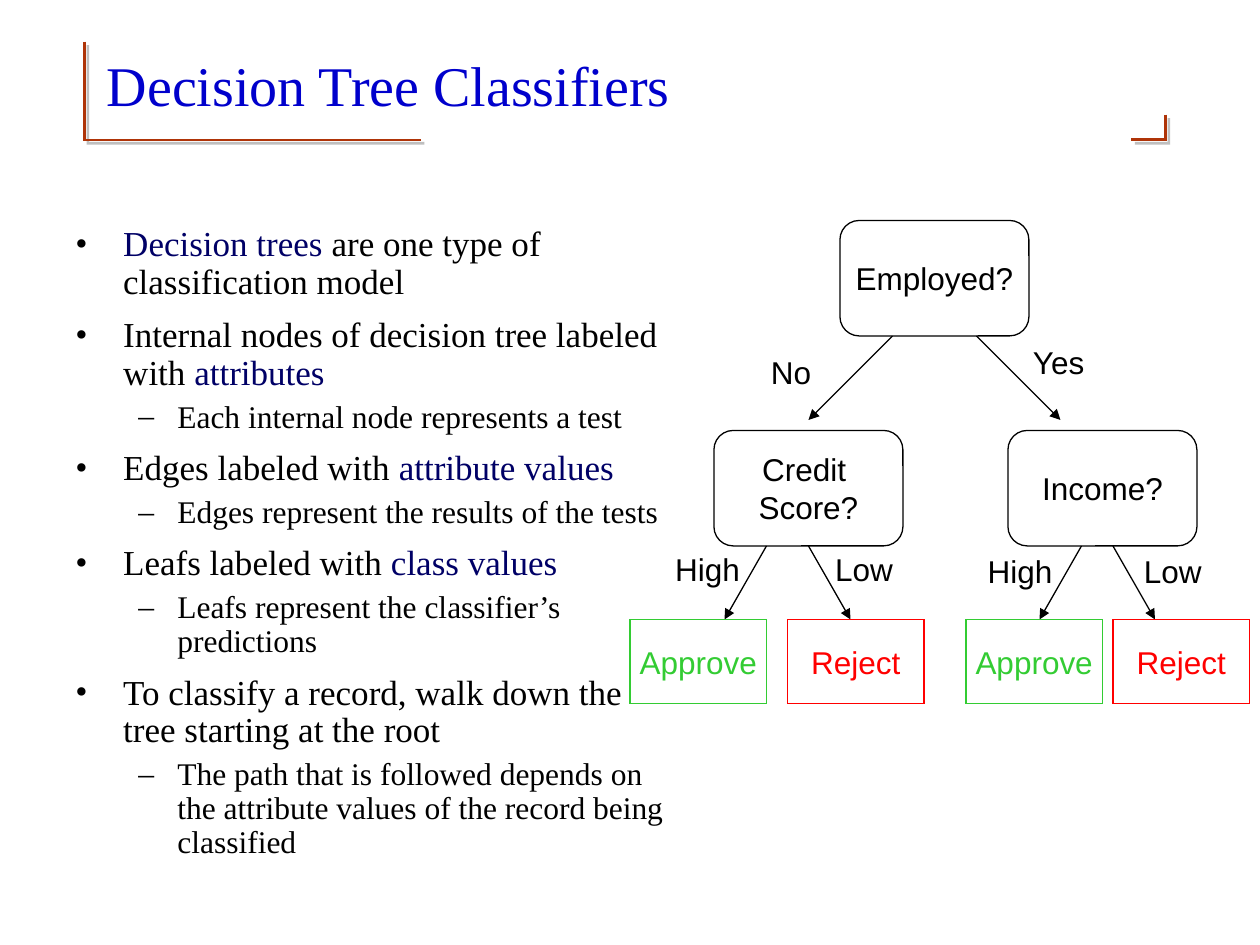
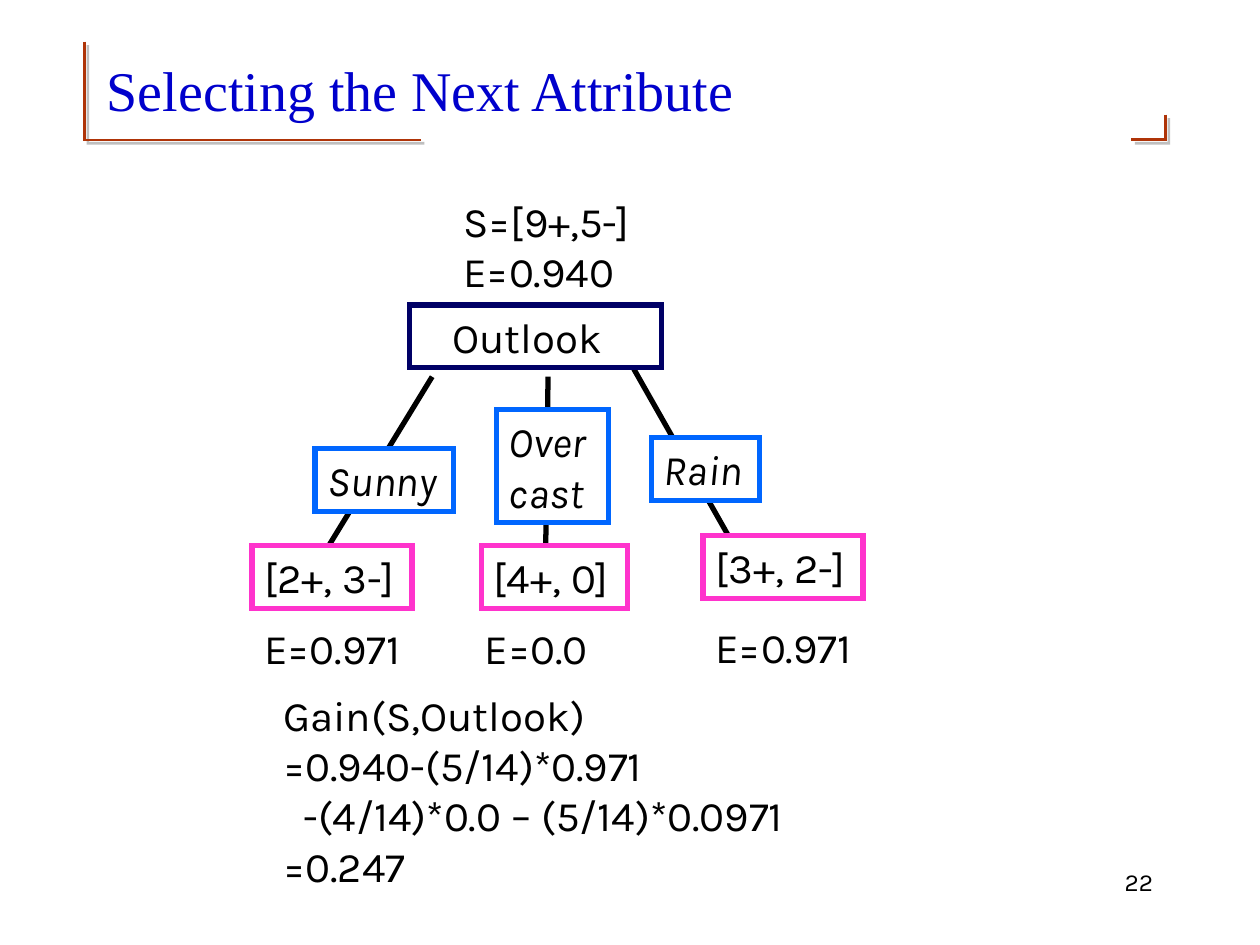
import pptx
import pptx.util
import pptx.dml.color
import pptx.enum.shapes
import pptx.enum.text
import pptx.oxml
import pptx.oxml.ns

Inches, Pt = pptx.util.Inches, pptx.util.Pt
SHAPE = pptx.enum.shapes.MSO_SHAPE
ALIGN = pptx.enum.text.PP_ALIGN
ANCHOR = pptx.enum.text.MSO_ANCHOR
AUTO = pptx.enum.text.MSO_AUTO_SIZE

# ---- Shared style ----
SLIDE_W, SLIDE_H = 10, 7.5
BLACK, WHITE, NAVY = "000000", "FFFFFF", "000066"
TITLE_BLUE, RUST = "0000CC", "AF3408"
GREEN, RED, BLUE, PINK = "33CC33", "FF0000", "0066FF", "FF33CC"
SERIF, SANS, KARLA = "Times New Roman", "Arial", "Karla"
CORNERS = [
    [(0.67, 0.33), (0.67, 1.11), (3.34, 1.11)],
    [(9.25, 0.91), (9.25, 1.11), (8.98, 1.11)],
]

# ---- Content: decision tree classifiers ----
# (level, runs); a run given as a one-item tuple is a key term
POINTS = [
    (0, [("Decision trees ",), "are one type of classification model"]),
    (0, ["Internal nodes of decision tree labeled with ", ("attributes",)]),
    (1, ["Each internal node represents a test"]),
    (0, ["Edges labeled with ", ("attribute values",)]),
    (1, ["Edges represent the results of the tests"]),
    (0, ["Leafs labeled with ", ("class values",)]),
    (1, ["Leafs represent the classifier’s predictions"]),
    (0, ["To classify a record, walk down the tree starting at the root"]),
    (1, ["The path that is followed depends on the attribute values "
         "of the record being classified"]),
]
# level: size, left indent, hanging indent, space before, bullet
LEVELS = [(20, 0.38, 0.38, 8.8, "•"), (18, 0.81, 0.31, 4.5, "–")]

# Tree in grid cells of 1/12 inch: column, row
CELL = 1 / 12
NODE, LEAF = (18, 11), (13, 8)
NODES = [("Employed?", 80, 21), ("Credit \vScore?", 68, 41), ("Income?", 96, 41)]
LEAVES = [("Approve", GREEN, 60), ("Approve", GREEN, 92),
          ("Reject", RED, 75), ("Reject", RED, 106)]
LEAF_ROW = 59
# start column, start row, columns across, rows down
BRANCHES = [(85, 32, -8, 8), (93, 32, 8, 8), (73, 52, -4, 7),
            (103, 52, -4, 7), (77, 52, 4, 7), (106, 52, 4, 7)]
# text, left, top; every label box has room for the longest word
LABEL_W, LABEL_H = 0.8, 0.4
BRANCH_LABELS = [("No", 6.02, 2.75), ("Yes", 8.1, 2.67),
                 ("High", 5.26, 4.32), ("Low", 6.53, 4.32),
                 ("High", 7.74, 4.33), ("Low", 8.98, 4.33)]

# ---- Content: selecting the next attribute ----
LINKS = [(3.43, 2.99, 2.61, 4.33), (5.02, 2.91, 5.78, 4.25),
         (4.35, 2.99, 4.33, 4.42)]
VALUES = [(["Sunny"], (2.5, 3.56, 1.1, 0.5)),
          (["Rain"], (5.17, 3.47, 0.86, 0.5)),
          (["Over", "cast"], (3.94, 3.25, 0.89, 0.9))]
COUNTS = [("[2+, 3-]", (2, 4.33, 1.27, 0.5)),
          ("[3+, 2-]", (5.58, 4.25, 1.27, 0.5)),
          ("[4+, 0]", (3.82, 4.33, 1.16, 0.5))]
# text, left, top, height, line spacing
ENTROPIES = [("E=0.971", 2, 5, 0.38, 0.7), ("E=0.971", 5.58, 4.88, 0.5, 1),
             ("E=0.0", 3.75, 5, 0.38, 0.7)]
ROOT_STATS = ["S=[9+,5-]", "E=0.940"]
GAIN = ["Gain(S,Outlook)", "=0.940-(5/14)*0.971",
        "-(4/14)*0.0 – (5/14)*0.0971", "=0.247"]
GAIN_INDENTS = [0, 0, 0.16, 0]


# ---- Helpers ----
def rgb(value):
    return pptx.dml.color.RGBColor.from_string(value)


def xml(tag, inner="", **attrs):
    listed = "".join(f' {k}="{v}"' for k, v in attrs.items())
    ns = pptx.oxml.ns.nsdecls("a")
    return pptx.oxml.parse_xml(f"<a:{tag} {ns}{listed}>{inner}</a:{tag}>")


def add_run(p, text, size=18, font=SANS, color=BLACK, italic=False):
    for i, part in enumerate(text.split("\v")):
        if i:
            p.add_line_break()
        r = p.add_run()
        r.text = part
        r.font.size, r.font.name, r.font.italic = Pt(size), font, italic
        r.font.color.rgb = rgb(color)


def write(sp, lines, align=ALIGN.LEFT, anchor=ANCHOR.TOP, wrap=False,
          grow=False, spacing=None, indents=None, **fmt):
    tf = sp.text_frame
    tf.word_wrap, tf.vertical_anchor = wrap, anchor
    tf.auto_size = AUTO.SHAPE_TO_FIT_TEXT if grow else AUTO.NONE
    for i, line in enumerate(lines):
        p = tf.add_paragraph() if i else tf.paragraphs[0]
        p.alignment = align
        if spacing:
            p.line_spacing = spacing
        if indents and indents[i]:
            p._p.get_or_add_pPr().set("marL", str(Inches(indents[i])))
        add_run(p, line, **fmt)


def text_box(s, at, lines, **fmt):
    write(s.shapes.add_textbox(*map(Inches, at)), lines, **fmt)


def outline(sp, color, width):
    sp.line.color.rgb, sp.line.width = rgb(color), Pt(width)
    sp.line._get_or_add_ln().append(xml("miter", lim=800000))


def box(s, kind, at, lines, line, width, fill=None, **fmt):
    sp = s.shapes.add_shape(kind, *map(Inches, at))
    sp.shadow.inherit = False
    if fill:
        sp.fill.solid()
        sp.fill.fore_color.rgb = rgb(fill)
    else:
        sp.fill.background()
    outline(sp, line, width)
    write(sp, lines, **fmt)


def connect(s, x1, y1, x2, y2, width, arrow=False):
    kind = pptx.enum.shapes.MSO_CONNECTOR.STRAIGHT
    cn = s.shapes.add_connector(kind, *map(Inches, (x1, y1, x2, y2)))
    outline(cn, BLACK, width)
    if arrow:
        cn.line._get_or_add_ln().append(xml("tailEnd", type="triangle"))
    cn._element.spPr.append(xml("effectLst"))


def new_slide(prs, title, title_height):
    s = prs.slides.add_slide(prs.slide_layouts[6])
    for corner in CORNERS:
        start, *rest = [tuple(map(Inches, point)) for point in corner]
        fb = s.shapes.build_freeform(*start)
        fb.add_line_segments(rest, close=False)
        sp = fb.convert_to_shape()
        sp.fill.background()
        outline(sp, RUST, 1.5)
        gray = '<a:srgbClr val="808080"><a:alpha val="50000"/></a:srgbClr>'
        shadow = xml("effectLst")
        shadow.append(xml("outerShdw", gray, dist=Pt(2.8), dir=45 * 60000))
        sp._element.spPr.append(shadow)
    text_box(s, (0.75, 0.25, 8.5, title_height), [title], size=32, font=SERIF,
             color=TITLE_BLUE, anchor=ANCHOR.MIDDLE, wrap=True)
    return s


def bullet_list(s, at, points):
    tf = s.shapes.add_textbox(*map(Inches, at)).text_frame
    tf.word_wrap = True
    for i, (level, runs) in enumerate(points):
        size, left, hang, before, mark = LEVELS[level]
        p = tf.add_paragraph() if i else tf.paragraphs[0]
        pPr = p._p.get_or_add_pPr()
        pPr.set("marL", str(Inches(left)))
        pPr.set("indent", str(-Inches(hang)))
        pPr.append(xml("buClr", f'<a:srgbClr val="{BLACK}"/>'))
        pPr.append(xml("buFont", typeface=SERIF))
        pPr.append(xml("buChar", char=mark))
        p.level, p.line_spacing = level, 0.9
        p.space_before = Pt(before if i else 0)
        for run in runs:
            key = isinstance(run, tuple)
            add_run(p, run[0] if key else run, size=size, font=SERIF,
                    color=NAVY if key else BLACK)


# ---- Slides ----
def classifier_slide(prs):
    s = new_slide(prs, "Decision Tree Classifiers", 0.83)
    bullet_list(s, (0.5, 1.75, 5, 5.75), POINTS)
    centred = dict(align=ALIGN.CENTER, anchor=ANCHOR.MIDDLE)
    for text, col, row in NODES:
        at = [n * CELL for n in (col, row, *NODE)]
        box(s, SHAPE.ROUNDED_RECTANGLE, at, [text], BLACK, 0.75, **centred)
    for col, row, across, down in BRANCHES:
        ends = [n * CELL for n in (col, row, col + across, row + down)]
        connect(s, *ends, 0.75, arrow=True)
    for text, x, y in BRANCH_LABELS:
        text_box(s, (x, y, LABEL_W, LABEL_H), [text], wrap=True)
    for text, color, col in LEAVES:
        at = [n * CELL for n in (col, LEAF_ROW, *LEAF)]
        box(s, SHAPE.RECTANGLE, at, [text], color, 0.75, color=color, **centred)


def attribute_slide(prs):
    s = new_slide(prs, "Selecting the Next Attribute", 0.92)
    body = dict(size=24, font=KARLA, grow=True)
    for link in LINKS:
        connect(s, *link, 3)
    box(s, SHAPE.RECTANGLE, (3.25, 2.42, 2, 0.5), ["Outlook"], NAVY, 3, WHITE,
        wrap=True, indents=[0.24], **body)
    for lines, at in VALUES:
        box(s, SHAPE.RECTANGLE, at, lines, BLUE, 3, WHITE, italic=True, **body)
    for text, at in COUNTS:
        box(s, SHAPE.RECTANGLE, at, [text], PINK, 3, WHITE, **body)
    text_box(s, (3.58, 1.5, 1.56, 0.9), ROOT_STATS, **body)
    for text, x, y, h, spacing in ENTROPIES:
        text_box(s, (x, y, 1.5, h), [text], wrap=True, spacing=spacing, **body)
    text_box(s, (2.15, 5.42, 4.49, 1.7), GAIN, indents=GAIN_INDENTS, **body)
    text_box(s, (7.17, 6.83, 2.08, 0.5), ["22"], size=14, font=KARLA,
             align=ALIGN.RIGHT, wrap=True)


def main():
    prs = pptx.Presentation()
    prs.slide_width, prs.slide_height = Inches(SLIDE_W), Inches(SLIDE_H)
    classifier_slide(prs)
    attribute_slide(prs)
    prs.save("out.pptx")


if __name__ == "__main__":
    main()
